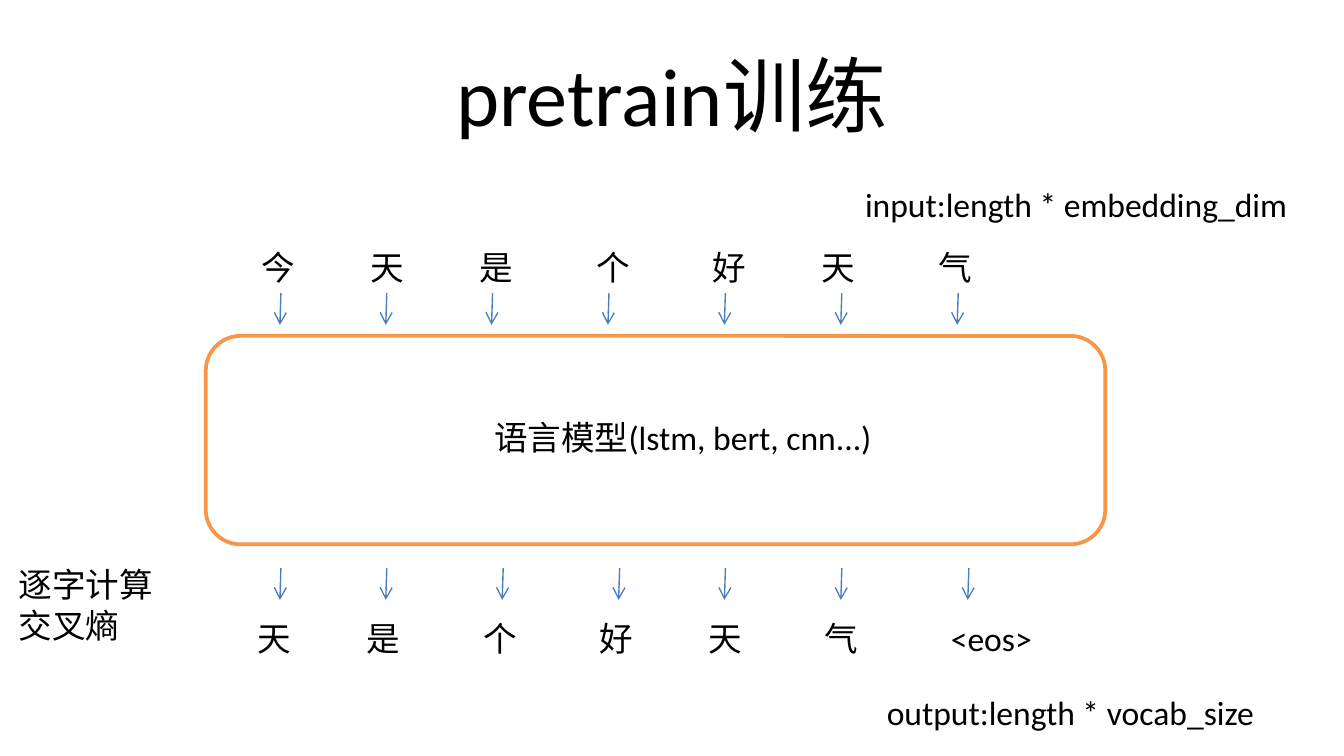
"""Build the slide on pretraining a language model."""
import dataclasses
import itertools

import lxml.etree
import pptx
import pptx.dml.color
import pptx.enum.shapes
import pptx.enum.text
import pptx.oxml.ns
import pptx.util

Cm = pptx.util.Cm
Align = pptx.enum.text.PP_ALIGN
Anchor = pptx.enum.text.MSO_ANCHOR


@dataclasses.dataclass(frozen=True)
class TokenRow:
    tokens: list[str]
    left: float
    top: float
    inset: float
    token_gaps: list[float]
    arrow_top: float
    arrow_gaps: list[float]


@dataclasses.dataclass(frozen=True)
class Label:
    text: str
    left: float
    top: float
    width: float
    height: float = 1.02


ARROW_LEFT = 5.31
ARROW_LEAN = 0.02
ARROW_HEIGHT = 0.6
ROWS = [
    TokenRow(list("今天是个好天气"), 4.7, 4.55, 0.25,
             [2.06, 2.06, 2.2, 2.2, 2.06, 2.2], 5.54, [2, 2, 2.2, 2.2, 2.2, 2.2]),
    TokenRow([*"天是个好天气", "<eos>"], 4.5, 11.56, 0.37,
             [2.06, 2.2, 2.2, 2.06, 2.2, 2.38], 10.74, [2, 2.2, 2.2, 2, 2.2, 2.4]),
]
LABELS = [
    Label("语言模型(lstm, bert, cnn...)", 9.09, 7.75, 8.51),
    Label("input:length * embedding_dim", 16.1, 3.35, 8.86),
    Label("output:length * vocab_size", 16.51, 12.95, 8.43),
    Label("逐字计算交叉熵", 0.1, 10.54, 3.61, 1.78),
]


def color(code: str) -> pptx.dml.color.RGBColor:
    return pptx.dml.color.RGBColor.from_string(code)


def add_child(parent, tag: str, **attributes: str):
    child = lxml.etree.SubElement(parent, pptx.oxml.ns.qn(tag))
    for name, value in attributes.items():
        child.set(name, value)
    return child


def add_text(page, text: str, left: float, top: float, width: float, height: float, *,
             size: float = 18, align=Align.LEFT, anchor=Anchor.TOP,
             inset: float = 0.25, tabs: tuple[float, ...] = ()):
    box = page.shapes.add_textbox(Cm(left), Cm(top), Cm(width), Cm(height))
    frame = box.text_frame
    frame.word_wrap = True
    frame.vertical_anchor = anchor
    frame.margin_left = Cm(inset)
    para = frame.paragraphs[0]
    para.alignment = align
    if tabs:
        stops = add_child(para._p.get_or_add_pPr(), "a:tabLst")
        for position in tabs:
            add_child(stops, "a:tab", pos=str(int(Cm(position))), algn="l")
    span = para.add_run()
    span.text = text
    span.font.name = "Calibri"
    span.font.size = pptx.util.Pt(size)
    span.font.color.rgb = color("000000")
    return box


def add_arrow(page, left: float, top: float) -> None:
    arrow = page.shapes.add_connector(
        pptx.enum.shapes.MSO_CONNECTOR.STRAIGHT,
        Cm(left), Cm(top), Cm(left - ARROW_LEAN), Cm(top + ARROW_HEIGHT))
    arrow.line.color.rgb = color("4B7EBC")
    arrow.line.width = pptx.util.Pt(0.75)
    add_child(arrow.line._get_or_add_ln(), "a:tailEnd", type="arrow")
    add_child(arrow._element.spPr, "a:effectLst")


def add_model(page) -> None:
    model = page.shapes.add_shape(
        pptx.enum.shapes.MSO_SHAPE.ROUNDED_RECTANGLE,
        Cm(3.89), Cm(6.35), Cm(17), Cm(3.94))
    model.shadow.inherit = False
    model.fill.solid()
    model.fill.fore_color.rgb = color("FFFFFF")
    model.line.color.rgb = color("F79646")
    model.line.width = pptx.util.Pt(2)


def add_row(page, row: TokenRow) -> None:
    add_text(page, "\t".join(row.tokens), row.left, row.top, 19.4, 1.02,
             inset=row.inset, tabs=tuple(itertools.accumulate(row.token_gaps)))
    for left in itertools.accumulate(row.arrow_gaps, initial=ARROW_LEFT):
        add_arrow(page, left, row.arrow_top)


def main() -> None:
    deck = pptx.Presentation()
    deck.slide_width, deck.slide_height = Cm(25.4), Cm(14.29)
    page = deck.slides.add_slide(deck.slide_layouts[6])
    add_text(page, "pretrain训练", 1.27, 0.58, 22.86, 2.38,
             size=44, align=Align.CENTER, anchor=Anchor.MIDDLE)
    add_model(page)
    for row in ROWS:
        add_row(page, row)
    for label in LABELS:
        add_text(page, label.text, label.left, label.top, label.width, label.height)
    deck.save("out.pptx")


if __name__ == "__main__":
    main()
